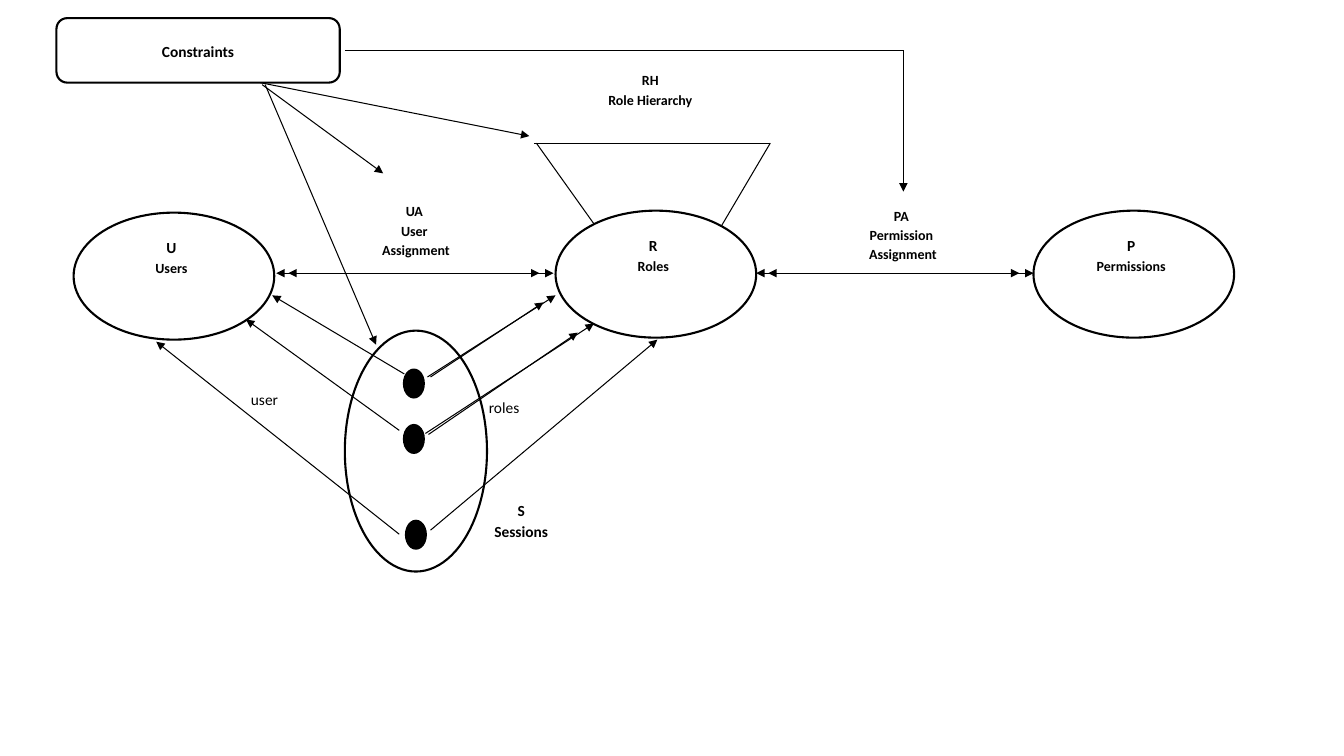
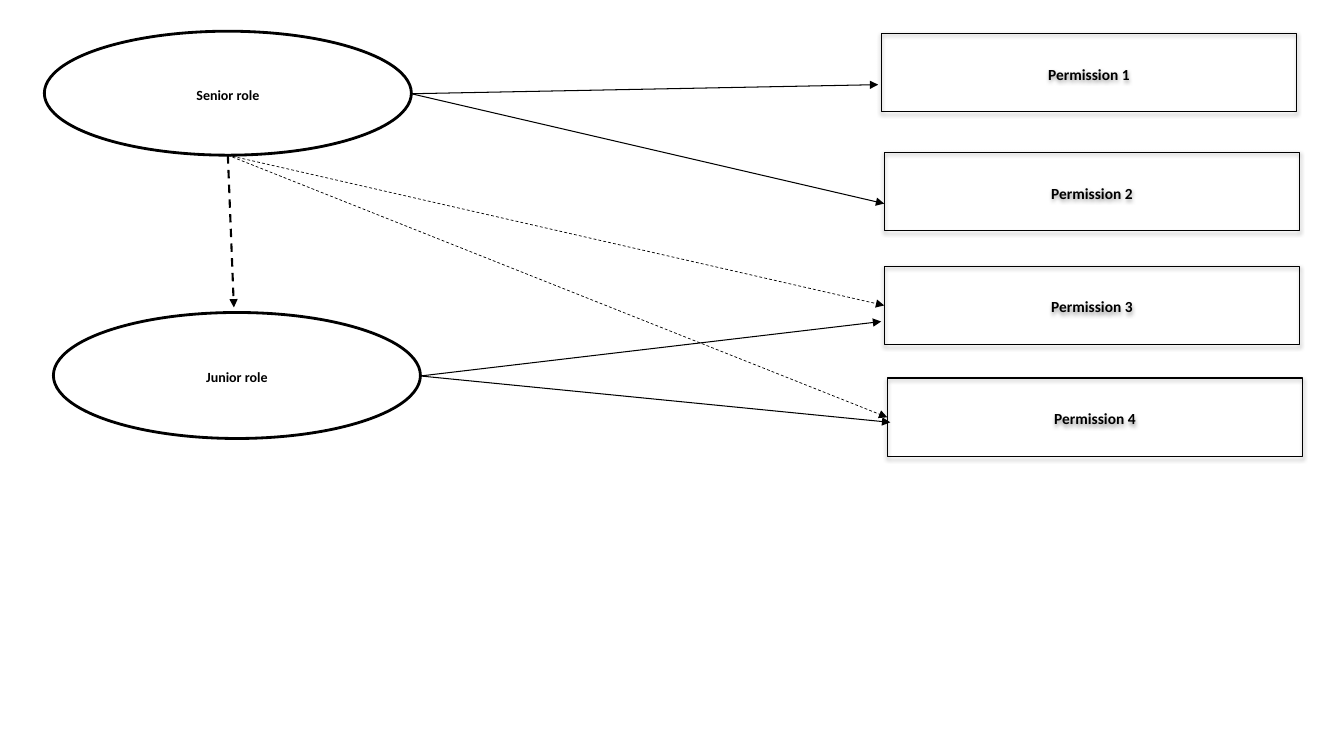
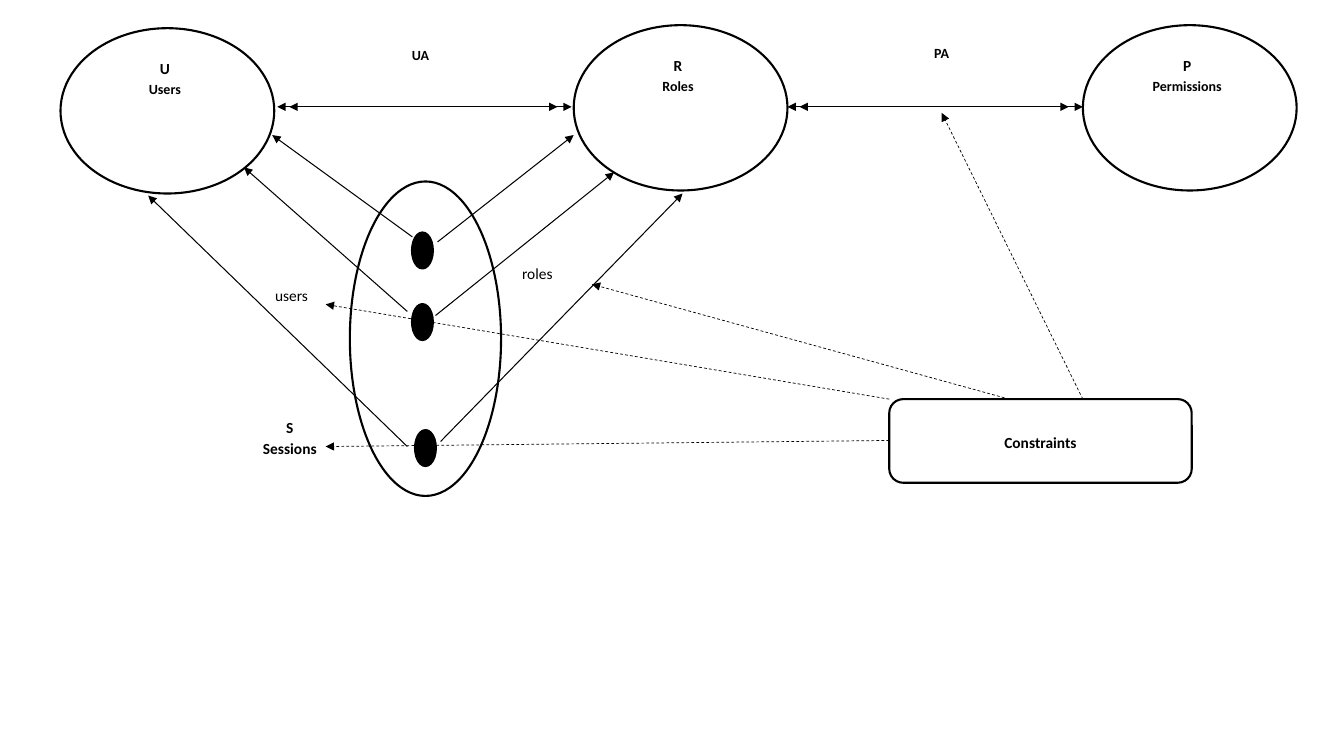
"""Three role-based access control diagrams."""
from dataclasses import dataclass

import lxml.etree
import pptx
import pptx.dml.color
import pptx.enum.dml
import pptx.enum.shapes
import pptx.enum.text
import pptx.oxml
import pptx.oxml.ns
import pptx.util

Inches = pptx.util.Inches
Pt = pptx.util.Pt
Shapes = pptx.enum.shapes.MSO_SHAPE
Align = pptx.enum.text.PP_ALIGN
qn = pptx.oxml.ns.qn

BLACK = pptx.dml.color.RGBColor(0, 0, 0)
FONT = "Calibri"
LINE_SPACING = 1.15
SPACE_AFTER = 10
LARGE, SMALL = 11, 10
THIN, NORMAL, MEDIUM, THICK = 0.5, 0.75, 1.5, 2
SHADOW = (
    f'<a:effectLst xmlns:a="{pptx.oxml.ns.nsuri("a")}">'
    '<a:outerShdw blurRad="40000" dist="20000" dir="5400000" rotWithShape="0">'
    '<a:srgbClr val="000000"><a:alpha val="38000"/></a:srgbClr>'
    "</a:outerShdw></a:effectLst>"
)


@dataclass(frozen=True)
class Area:
    """A rectangle in inches."""
    left: float
    top: float
    width: float
    height: float

    def lengths(self) -> tuple:
        """Return the four lengths in the order python-pptx takes them."""
        return tuple(map(Inches, (self.left, self.top, self.width, self.height)))


@dataclass(frozen=True)
class Words:
    """One line of text and its look."""
    text: str
    size: float = LARGE
    bold: bool = True
    centred: bool = True
    space_after: float = 0


@dataclass(frozen=True)
class Label:
    """Free text on the page."""
    area: Area
    lines: tuple[Words, ...]


@dataclass(frozen=True)
class Node:
    """An outlined shape with an optional caption."""
    area: Area
    kind: Shapes = Shapes.OVAL
    caption: Words | None = None
    weight: float = MEDIUM
    filled: bool = False
    shadow: bool = False


@dataclass(frozen=True)
class Link:
    """A straight line, usually with an arrowhead at its end."""
    start: tuple[float, float]
    end: tuple[float, float]
    weight: float = NORMAL
    dashed: bool = False
    head: bool = False
    tail: bool = True


@dataclass(frozen=True)
class Entity:
    """A set of the model: its ellipse, letter and name."""
    left: float
    top: float
    letter: str
    name: str


def write(frame, lines: tuple[Words, ...]) -> None:
    """Fill a text frame with one paragraph per line."""
    frame.word_wrap = True
    for index, words in enumerate(lines):
        para = frame.paragraphs[0] if index == 0 else frame.add_paragraph()
        para.alignment = Align.CENTER if words.centred else Align.LEFT
        para.line_spacing = LINE_SPACING
        para.space_after = Pt(words.space_after)
        span = para.add_run()
        span.text = words.text
        span.font.name = FONT
        span.font.size = Pt(words.size)
        span.font.bold = words.bold
        span.font.color.rgb = BLACK


def draw_label(page, label: Label, grow: bool = False) -> None:
    """Add a text box."""
    box = page.shapes.add_textbox(*label.area.lengths())
    write(box.text_frame, label.lines)
    if grow:
        box.text_frame.auto_size = pptx.enum.text.MSO_AUTO_SIZE.SHAPE_TO_FIT_TEXT


def draw_node(page, node: Node) -> None:
    """Add an outlined shape."""
    shape = page.shapes.add_shape(node.kind, *node.area.lengths())
    shape.line.color.rgb = BLACK
    shape.line.width = Pt(node.weight)
    if node.filled:
        shape.fill.solid()
        shape.fill.fore_color.rgb = BLACK
    else:
        shape.fill.background()
    if node.shadow:
        shape._element.spPr.append(pptx.oxml.parse_xml(SHADOW))
    else:
        shape.shadow.inherit = False
    if node.caption:
        write(shape.text_frame, (node.caption,))
        shape.text_frame.vertical_anchor = pptx.enum.text.MSO_ANCHOR.MIDDLE


def draw_link(page, link: Link) -> None:
    """Add a straight connector."""
    line = page.shapes.add_connector(
        pptx.enum.shapes.MSO_CONNECTOR.STRAIGHT,
        *map(Inches, link.start + link.end))
    line.line.color.rgb = BLACK
    line.line.width = Pt(link.weight)
    if link.dashed:
        line.line.dash_style = pptx.enum.dml.MSO_LINE.DASH
    properties = line._element.spPr
    outline = properties.find(qn("a:ln"))
    for shown, tag in ((link.head, "a:headEnd"), (link.tail, "a:tailEnd")):
        if shown:
            lxml.etree.SubElement(outline, qn(tag), type="triangle")
    lxml.etree.SubElement(properties, qn("a:effectLst"))


def draw_links(page, links: list[Link]) -> None:
    """Add several connectors."""
    for link in links:
        draw_link(page, link)


def draw_entities(page, entities: list[Entity], width: float, height: float,
                  label_drop: float, label_height: float) -> None:
    """Add equal ellipses, each with its letter and name."""
    for entity in entities:
        draw_node(page, Node(Area(entity.left, entity.top, width, height)))
        area = Area(entity.left - 0.05, entity.top + label_drop,
                    width + 0.05, label_height)
        lines = (Words(entity.letter), Words(entity.name, SMALL))
        draw_label(page, Label(area, lines), grow=True)


def draw_sessions(page, outline: Area, dots: list[tuple[float, float]],
                  dot_width: float, dot_height: float) -> None:
    """Add the sessions ellipse and the dots inside it."""
    draw_node(page, Node(outline))
    for left, top in dots:
        draw_node(page, Node(Area(left, top, dot_width, dot_height),
                             weight=THICK, filled=True))


def draw_assignment(page, left: float, right: float, height: float) -> None:
    """Add a many-to-many arrow: two arrowheads at each end."""
    for start, end in ((left, right), (left + 0.12, right - 0.14)):
        draw_link(page, Link((start, height), (end, height), head=True))


def draw_constraints(page, area: Area) -> None:
    """Add the rounded constraints box."""
    caption = Words("Constraints", space_after=SPACE_AFTER)
    draw_node(page, Node(area, Shapes.ROUNDED_RECTANGLE, caption))


def plain(text: str) -> tuple[Words, ...]:
    """Return the text of a light arrow label."""
    return (Words(text, bold=False, centred=False, space_after=SPACE_AFTER),)


def bold_lines(*texts: str, size: float = SMALL) -> tuple[Words, ...]:
    """Return centred bold lines."""
    return tuple(Words(text, size) for text in texts)


def build_hierarchy_model(page) -> None:
    """Draw the model with a role hierarchy."""
    draw_sessions(page, Area(3.42, 3.28, 1.41, 2.39),
                  [(4.01, 3.67), (4.01, 4.22), (4.03, 5.17)], 0.19, 0.27)
    draw_entities(page, [
        Entity(0.73, 2.11, "U", "Users"),
        Entity(5.51, 2.09, "R", "Roles"),
        Entity(10.25, 2.09, "P", "Permissions"),
    ], 1.99, 1.26, 0.18, 0.88)
    draw_assignment(page, 7.5, 10.25, 2.71)
    draw_assignment(page, 2.74, 5.49, 2.71)
    draw_constraints(page, Area(0.56, 0.18, 2.81, 0.64))
    session_links = [
        Link((4.24, 3.74), (5.51, 2.93)),
        Link((4.27, 3.74), (5.39, 3.0)),
        Link((4.22, 4.3), (5.89, 3.21)),
        Link((4.25, 4.31), (5.73, 3.3)),
        Link((4.27, 5.26), (6.52, 3.37)),
        Link((4.01, 3.71), (2.7, 2.93)),
        Link((3.96, 4.27), (2.44, 3.17)),
        Link((3.96, 5.3), (1.55, 3.39)),
    ]
    hierarchy_links = [
        Link((5.3, 1.42), (7.64, 1.42), tail=False),
        Link((7.64, 1.42), (7.15, 2.25), tail=False),
        Link((5.32, 1.42), (5.89, 2.22), tail=False),
    ]
    constraint_links = [
        Link((3.42, 0.5), (8.96, 0.5), tail=False),
        Link((8.96, 0.5), (8.96, 1.9)),
        Link((2.58, 0.82), (5.25, 1.35)),
        Link((2.6, 0.84), (3.8, 1.72)),
        Link((2.63, 0.84), (3.73, 3.42)),
    ]
    draw_links(page, session_links + hierarchy_links + constraint_links)
    for label in (
        Label(Area(4.75, 3.87, 1.29, 0.53), plain("roles")),
        Label(Area(2.39, 3.79, 1.29, 0.53), plain("user")),
        Label(Area(4.21, 4.89, 1.92, 0.88),
              bold_lines("S", "Sessions", size=LARGE)),
        Label(Area(7.86, 1.98, 2.16, 1.15),
              bold_lines("PA", "Permission", " Assignment")),
        Label(Area(3.03, 1.94, 2.16, 1.13),
              bold_lines("UA", "User", " Assignment")),
        Label(Area(5.23, 0.64, 2.44, 0.85),
              bold_lines("RH", "Role Hierarchy")),
    ):
        draw_label(page, label)


def build_inheritance(page) -> None:
    """Draw a senior role inheriting the permissions of a junior one."""
    corners = [(8.74, 0.33), (8.77, 1.51), (8.77, 2.64), (8.8, 3.75)]
    for number, (left, top) in enumerate(corners, start=1):
        caption = Words(f"Permission {number}", space_after=SPACE_AFTER)
        draw_node(page, Node(Area(left, top, 4.12, 0.78), Shapes.RECTANGLE,
                             caption, NORMAL, shadow=True))
    for name, area in (("Senior role", Area(0.44, 0.31, 3.64, 1.23)),
                       ("Junior role", Area(0.53, 3.1, 3.64, 1.25))):
        caption = Words(name, SMALL, space_after=SPACE_AFTER)
        draw_node(page, Node(area, caption=caption, weight=THICK))
    senior_side, senior_foot, junior_side = (4.08, 0.93), (2.26, 1.54), (4.17, 3.73)
    draw_links(page, [
        Link(senior_foot, (2.32, 3.05), MEDIUM, dashed=True),
        Link(senior_side, (8.71, 0.84)),
        Link(senior_side, (8.77, 2.02)),
        Link(junior_side, (8.83, 4.19)),
        Link(junior_side, (8.74, 3.19)),
        Link(senior_foot, (8.77, 3.03), THIN, dashed=True),
        Link(senior_foot, (8.8, 4.14), THIN, dashed=True),
    ])


def build_constraint_model(page) -> None:
    """Draw the model with constraints on its relations."""
    draw_sessions(page, Area(3.47, 1.8, 1.5, 3.12),
                  [(4.09, 2.31), (4.09, 3.02), (4.12, 4.27)], 0.2, 0.35)
    draw_entities(page, [
        Entity(0.6, 0.28, "U", "Users"),
        Entity(5.69, 0.25, "R", "Roles"),
        Entity(10.74, 0.25, "P", "Permissions"),
    ], 2.12, 1.64, 0.23, 1.15)
    draw_assignment(page, 7.81, 10.74, 1.06)
    draw_assignment(page, 2.75, 5.67, 1.06)
    draw_constraints(page, Area(8.82, 3.96, 3, 0.83))
    session_links = [
        Link((4.34, 2.4), (5.69, 1.34)),
        Link((4.32, 3.13), (6.09, 1.71)),
        Link((4.37, 4.38), (6.77, 1.92)),
        Link((4.09, 2.35), (2.7, 1.34)),
        Link((4.04, 3.09), (2.42, 1.66)),
        Link((4.04, 4.43), (1.47, 1.94)),
    ]
    constraint_links = [
        Link(start, end, THIN, dashed=True) for start, end in (
            ((10.74, 3.96), (9.34, 1.12)),
            ((10.01, 3.96), (5.87, 2.82)),
            ((8.82, 3.96), (3.23, 3.02)),
            ((8.82, 4.37), (3.23, 4.43)),
        )
    ]
    draw_links(page, session_links + constraint_links)
    for label in (
        Label(Area(5.08, 2.54, 1.37, 0.69), plain("roles")),
        Label(Area(2.63, 2.76, 1.37, 0.69), plain("users")),
        Label(Area(1.85, 4.07, 2.05, 1.15),
              bold_lines("S", "Sessions", size=LARGE)),
        Label(Area(8.19, 0.37, 2.3, 1.5), bold_lines("PA")),
        Label(Area(3.02, 0.39, 2.3, 1.48), bold_lines("UA")),
    ):
        draw_label(page, label)


def main() -> None:
    """Build and save the deck."""
    deck = pptx.Presentation()
    deck.slide_width, deck.slide_height = Inches(13.33), Inches(7.5)
    blank = deck.slide_layouts.get_by_name("Blank")
    for build in (build_hierarchy_model, build_inheritance, build_constraint_model):
        build(deck.slides.add_slide(blank))
    deck.save("out.pptx")


main()
